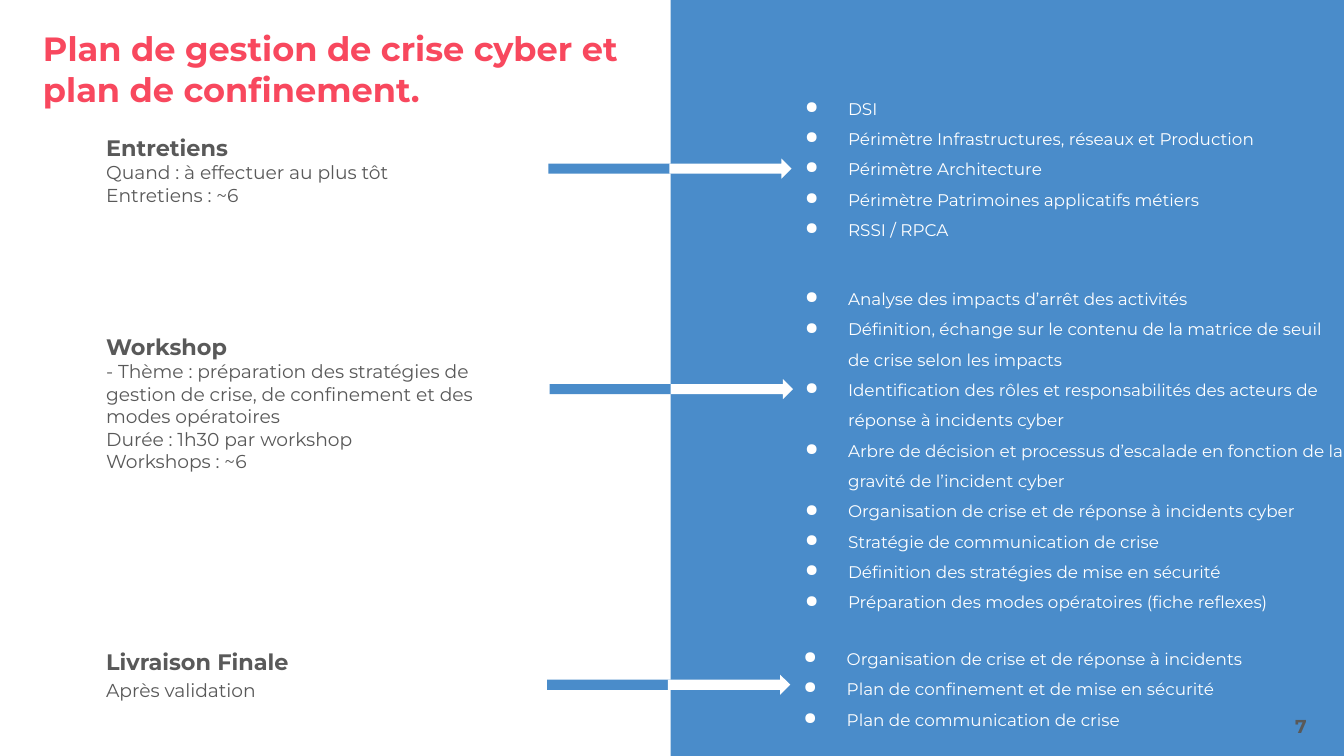
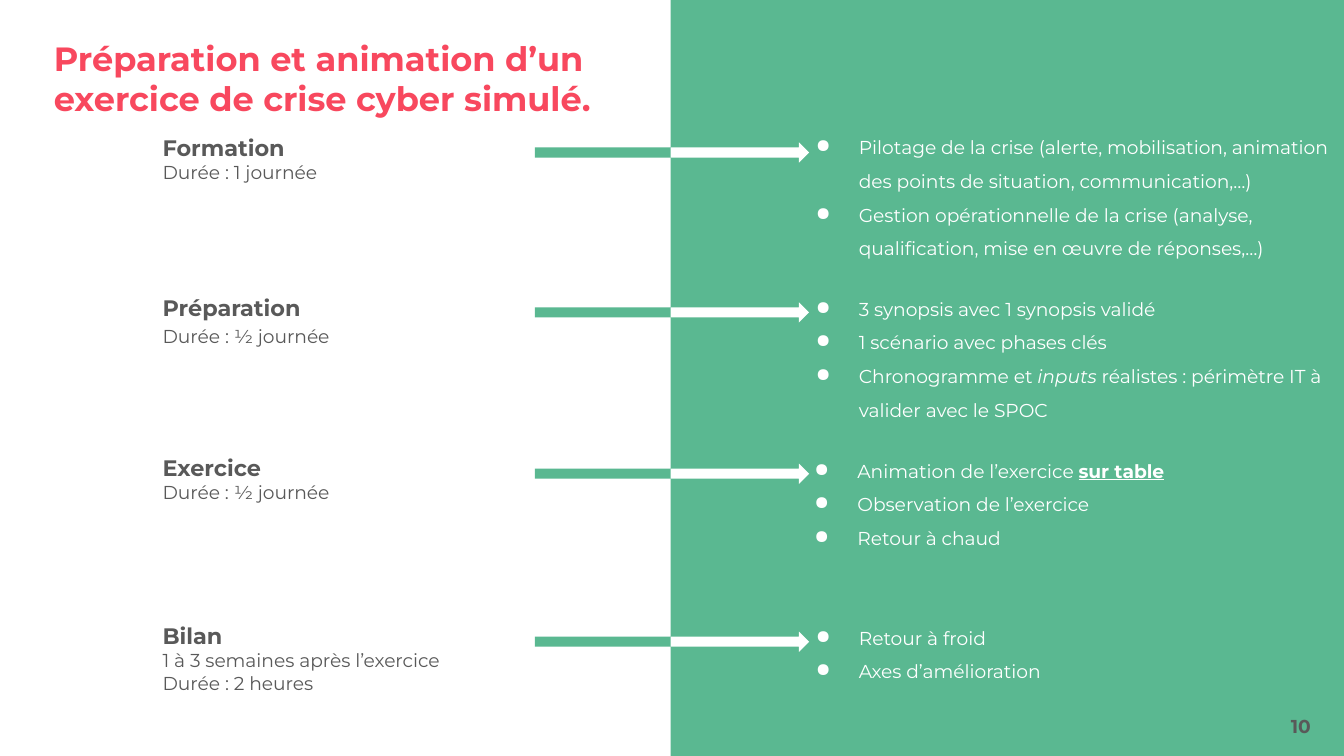
from collections import namedtuple
from dataclasses import dataclass

from lxml import etree
from pptx import Presentation
from pptx import util as u
from pptx.dml.color import RGBColor
from pptx.enum import shapes, text
from pptx.oxml.ns import qn


@dataclass(frozen=True)
class Theme:
    """Colours and type sizes of the deck."""
    font: str = "Montserrat"
    title: str = "F8485E"
    body: str = "595959"
    light: str = "FFFFFF"
    blue: str = "4A8CCA"
    green: str = "5AB891"
    title_size: int = 18
    heading_size: int = 12
    body_size: int = 10
    dense_size: int = 9


Span = namedtuple("Span", "words bold italic underline", defaults=(False, False, False))
Area = namedtuple("Area", "column row columns rows")
Layout = namedtuple("Layout", "accent bullet_size title_area arrow_columns arrow_overlap")
Stage = namedtuple("Stage", "heading details stage_area arrow_at bullet_area bullets detail_gap",
                   defaults=(0,))


class Pager:
    """Draws the elements of the current slide on a grid of 100 columns."""

    COLUMNS = 100

    def __init__(self, deck, theme):
        self.deck = deck
        self.theme = theme
        self.cell = deck.slide_width / self.COLUMNS
        self.page = None

    def new_page(self):
        """Add a blank slide and make it current."""
        self.page = self.deck.slides.add_slide(self.deck.slide_layouts[6])

    def place(self, area):
        """Turn grid cells into slide lengths."""
        return [u.Emu(round(cells * self.cell)) for cells in area]

    def shape(self, kind, area, colour, parent=None):
        """Draw a flat filled shape without outline."""
        holder = parent or self.page
        shape = holder.shapes.add_shape(kind, *self.place(area))
        shape.shadow.inherit = False
        shape.fill.solid()
        shape.fill.fore_color.rgb = RGBColor.from_string(colour)
        shape.line.fill.background()

    def panel(self, colour):
        """Fill the right half of the slide."""
        rows = self.deck.slide_height / self.cell
        self.shape(shapes.MSO_SHAPE.RECTANGLE, Area(49.9, 0, 50.1, rows), colour)

    def arrow(self, column, row, columns, overlap, colour):
        """Draw an arrow that turns white where it enters the panel."""
        group = self.page.shapes.add_group_shape()
        kind = shapes.MSO_SHAPE.RIGHT_ARROW
        self.shape(kind, Area(column, row, columns, 1.5), colour, group)
        inside = Area(column + columns - overlap, row, overlap, 1.5)
        self.shape(kind, inside, self.theme.light, group)

    def box(self, area, middle=False):
        """Add a wrapping text box without insets and return its frame."""
        frame = self.page.shapes.add_textbox(*self.place(area)).text_frame
        frame.word_wrap = True
        frame.margin_left = frame.margin_right = 0
        frame.margin_top = frame.margin_bottom = 0
        anchors = text.MSO_ANCHOR
        frame.vertical_anchor = anchors.MIDDLE if middle else anchors.TOP
        return frame

    def para(self, frame, spans, size, colour):
        """Append a paragraph, filling the empty first one if unused."""
        first = frame.paragraphs[0]
        para = frame.add_paragraph() if first.runs else first
        for span in spans:
            run = para.add_run()
            run.text = span.words
            run.font.name = self.theme.font
            run.font.size = u.Pt(size)
            run.font.bold = span.bold
            run.font.italic = span.italic
            run.font.underline = span.underline
            run.font.color.rgb = RGBColor.from_string(colour)
        return para

    def title(self, words, area):
        """Write the slide title."""
        self.para(self.box(area), [Span(words, bold=True)],
                  self.theme.title_size, self.theme.title)

    def stage(self, heading, details, area, gap):
        """Write a bold heading with its detail lines."""
        frame = self.box(area)
        self.para(frame, [Span(heading, bold=True)],
                  self.theme.heading_size, self.theme.body)
        for detail in details:
            para = self.para(frame, [Span(detail)], self.theme.body_size, self.theme.body)
            para.space_before = u.Pt(gap)

    def bullets(self, items, area, size):
        """Write a white bulleted list centred on its area."""
        frame = self.box(area, middle=True)
        for item in items:
            spans = [Span(item)] if isinstance(item, str) else item
            para = self.para(frame, spans, size, self.theme.light)
            para.line_spacing = 1.5
            properties = para._p.get_or_add_pPr()
            properties.set("marL", str(u.Inches(0.5)))
            properties.set("indent", str(u.Inches(-0.32)))
            colour = etree.SubElement(properties, qn("a:buClr"))
            etree.SubElement(colour, qn("a:srgbClr"), val=self.theme.light)
            etree.SubElement(properties, qn("a:buChar"), char="●")

    def number(self, value):
        """Write the page number in the bottom corner."""
        frame = self.box(Area(93.6, 53.2, 6.4, 1.6), middle=True)
        para = self.para(frame, [Span(str(value), bold=True)],
                         self.theme.body_size, self.theme.body)
        para.alignment = text.PP_ALIGN.CENTER

    def plan(self, title, number, layout, stages):
        """Build a slide linking each stage to its list."""
        self.new_page()
        self.panel(layout.accent)
        self.title(title, layout.title_area)
        for stage in stages:
            self.arrow(*stage.arrow_at, layout.arrow_columns,
                       layout.arrow_overlap, layout.accent)
            self.stage(stage.heading, stage.details, stage.stage_area, stage.detail_gap)
            self.bullets(stage.bullets, stage.bullet_area, layout.bullet_size)
        self.number(number)


CRISIS_STAGES = [
    Stage("Entretiens",
          ["Quand : à effectuer au plus tôt", "Entretiens : ~6"],
          Area(7.9, 10, 29.2, 4.9), (40.8, 11.8), Area(58.1, 6.9, 37.8, 10.6),
          ["DSI",
           "Périmètre Infrastructures, réseaux et Production",
           "Périmètre Architecture",
           "Périmètre Patrimoines applicatifs métiers",
           "RSSI / RPCA"]),
    Stage("Workshop",
          ["- Thème : préparation des stratégies de gestion de crise, "
           "de confinement et des modes opératoires",
           "Durée : 1h30 par workshop", "Workshops : ~6"],
          Area(7.9, 24.8, 30.9, 10.2), (40.9, 28.2), Area(58.1, 21, 41.9, 24.3),
          ["Analyse des impacts d’arrêt des activités",
           "Définition, échange sur le contenu de la matrice de seuil de crise selon les impacts",
           "Identification des rôles et responsabilités des acteurs de réponse à incidents cyber",
           "Arbre de décision et processus d’escalade en fonction de la gravité "
           "de l’incident cyber",
           "Organisation de crise et de réponse à incidents cyber",
           "Stratégie de communication de crise",
           "Définition des stratégies de mise en sécurité",
           "Préparation des modes opératoires (fiche reflexes)"]),
    Stage("Livraison Finale", ["Après validation"],
          Area(7.9, 48.2, 29.2, 4.9), (40.7, 50.2), Area(58, 45.6, 41.9, 10.6),
          ["Organisation de crise et de réponse à incidents",
           "Plan de confinement et de mise en sécurité",
           "Plan de communication de crise"], detail_gap=2),
]

EXERCISE_STAGES = [
    Stage("Formation", ["Durée : 1 journée"],
          Area(12.1, 10, 34.2, 4.9), (39.8, 10.6), Area(58.9, 7.9, 41.1, 12.8),
          ["Pilotage de la crise (alerte, mobilisation, animation des points de situation, "
           "communication,…)",
           "Gestion opérationnelle de la crise (analyse, qualification, "
           "mise en œuvre de réponses,…)"]),
    Stage("Préparation", ["Durée : ½ journée"],
          Area(12.1, 21.9, 34.2, 4.9), (39.8, 22.5), Area(58.9, 19.9, 41.1, 12.8),
          ["3 synopsis avec 1 synopsis validé",
           "1 scénario avec phases clés",
           [Span("Chronogramme et "), Span("inputs ", italic=True),
            Span("réalistes : périmètre IT à valider avec le SPOC")]], detail_gap=2),
    Stage("Exercice", ["Durée : ½ journée"],
          Area(12.1, 33.8, 33.4, 8.7), (39.8, 34.5), Area(58.8, 30.7, 41.9, 12.8),
          [[Span("Animation de l’exercice "), Span("sur table", bold=True, underline=True)],
           "Observation de l’exercice",
           "Retour à chaud"]),
    Stage("Bilan", ["1 à 3 semaines après l’exercice", "Durée : 2 heures"],
          Area(12.1, 46.3, 29.2, 4.9), (39.8, 47), Area(58.9, 43, 41.1, 10.6),
          ["Retour à froid", "Axes d’amélioration"]),
]


def main():
    """Build and save the deck."""
    deck = Presentation()
    deck.slide_width = u.Inches(10)
    deck.slide_height = deck.slide_width * 9 // 16
    theme = Theme()
    pager = Pager(deck, theme)
    pager.plan("Plan de gestion de crise cyber et plan de confinement.", 7,
               Layout(theme.blue, theme.dense_size, Area(3.2, 2.1, 46.6, 7.6), 18.1, 9.1),
               CRISIS_STAGES)
    pager.plan("Préparation et animation d’un exercice de crise cyber simulé.", 10,
               Layout(theme.green, theme.body_size, Area(4, 2.8, 45.9, 5.5), 20.4, 10.3),
               EXERCISE_STAGES)
    deck.save("out.pptx")


if __name__ == "__main__":
    main()
